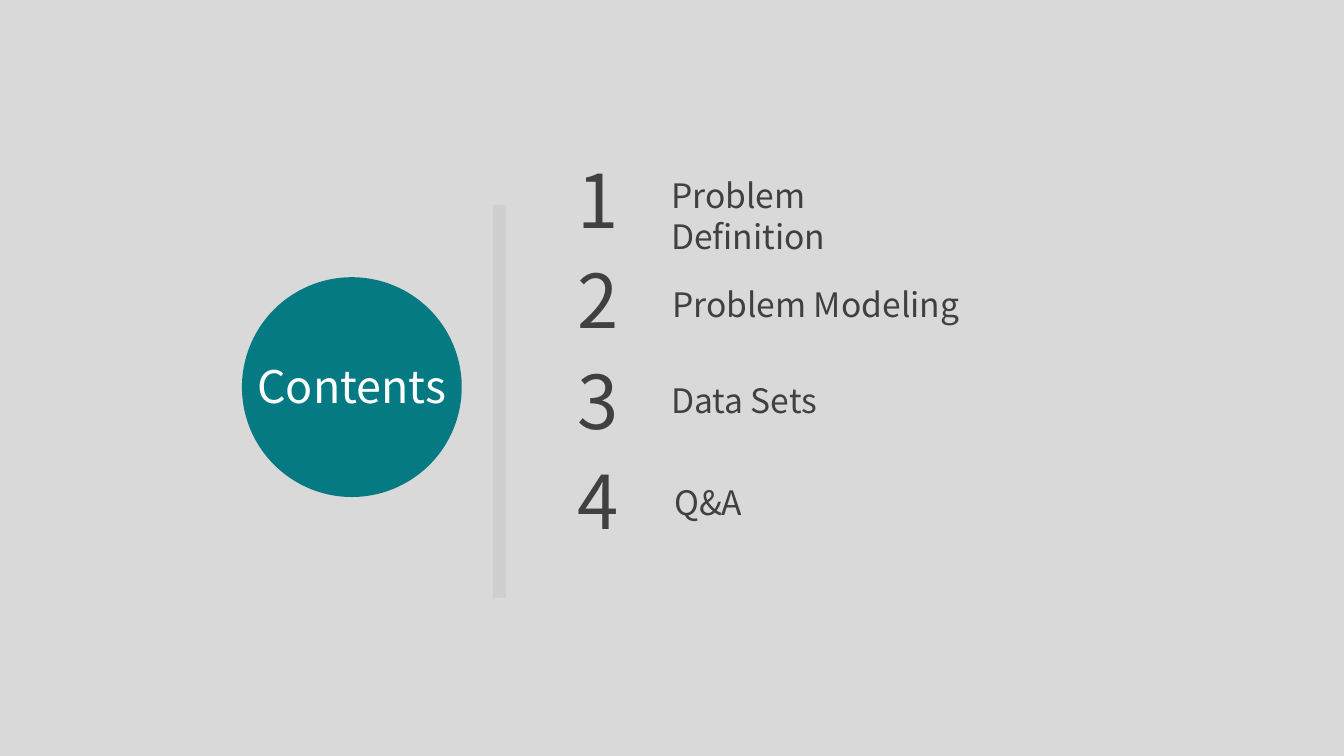
"""Build a contents slide with a round heading and four numbered topics."""
import pptx
import pptx.dml.color
import pptx.enum.shapes
import pptx.enum.text
import pptx.util

Pt = pptx.util.Pt
RGBColor = pptx.dml.color.RGBColor
SHAPES = pptx.enum.shapes.MSO_SHAPE
ALIGN = pptx.enum.text.PP_ALIGN
ANCHOR = pptx.enum.text.MSO_ANCHOR

HEADING = "Contents"
TOPICS = [
    {"text": "Problem Definition", "left": 472.3, "top": 121.7, "width": 221},
    {"text": "Problem Modeling", "left": 473, "top": 199.4, "width": 221},
    {"text": "Data Sets", "left": 472.3, "top": 267.8, "width": 128},
    {"text": "Q&A", "left": 474.5, "top": 340.6, "width": 69},
]

FONT = "Noto Sans CJK KR"
BACKGROUND = RGBColor(0xD9, 0xD9, 0xD9)
TEAL = RGBColor(0x06, 0x7A, 0x82)
BAR_GRAY = RGBColor(0xD0, 0xCE, 0xCE)
TEXT_GRAY = RGBColor(0x40, 0x40, 0x40)
WHITE = RGBColor(0xFF, 0xFF, 0xFF)

NUMBER_LEFT, NUMBER_TOP, NUMBER_PITCH = 405.4, 106.6, 71.75


def place(shape, left, top, width, height):
    shape.left, shape.top = Pt(left), Pt(top)
    shape.width, shape.height = Pt(width), Pt(height)


def write(shape, text, *, size, color=TEXT_GRAY, align=ALIGN.LEFT,
          anchor=ANCHOR.TOP, wrap=True):
    frame = shape.text_frame
    frame.word_wrap = wrap
    frame.auto_size = pptx.enum.text.MSO_AUTO_SIZE.SHAPE_TO_FIT_TEXT
    frame.vertical_anchor = anchor
    paragraph = frame.paragraphs[0]
    paragraph.alignment = align
    run = paragraph.add_run()
    run.text = text
    run.font.name = FONT
    run.font.size = Pt(size)
    run.font.color.rgb = color


def add_block(slide, kind, color, *box):
    shape = slide.shapes.add_shape(kind, *map(Pt, box))
    shape.shadow.inherit = False
    shape.fill.solid()
    shape.fill.fore_color.rgb = color
    shape.line.fill.background()


def main():
    presentation = pptx.Presentation()
    presentation.slide_width, presentation.slide_height = Pt(960), Pt(540)
    slide = presentation.slides.add_slide(presentation.slide_layouts[5])
    slide.background.fill.solid()
    slide.background.fill.fore_color.rgb = BACKGROUND

    add_block(slide, SHAPES.OVAL, TEAL, 172.8, 198, 157, 157)
    add_block(slide, SHAPES.RECTANGLE, BAR_GRAY, 352.1, 146.2, 9.4, 280.8)

    title = slide.shapes.title
    place(title, 176.4, 252.7, 149.8, 46)
    write(title, HEADING, size=32, color=WHITE, align=ALIGN.CENTER,
          anchor=ANCHOR.MIDDLE, wrap=False)
    slide.shapes.element.append(title.element)

    for index, topic in enumerate(TOPICS):
        number_top = NUMBER_TOP + index * NUMBER_PITCH
        number = slide.shapes.add_textbox(
            Pt(NUMBER_LEFT), Pt(number_top), Pt(46), Pt(74))
        write(number, str(index + 1), size=53, wrap=False)
        label = slide.shapes.add_textbox(
            Pt(topic["left"]), Pt(topic["top"]), Pt(topic["width"]), Pt(36))
        write(label, topic["text"], size=24)

    presentation.save("out.pptx")


if __name__ == "__main__":
    main()
